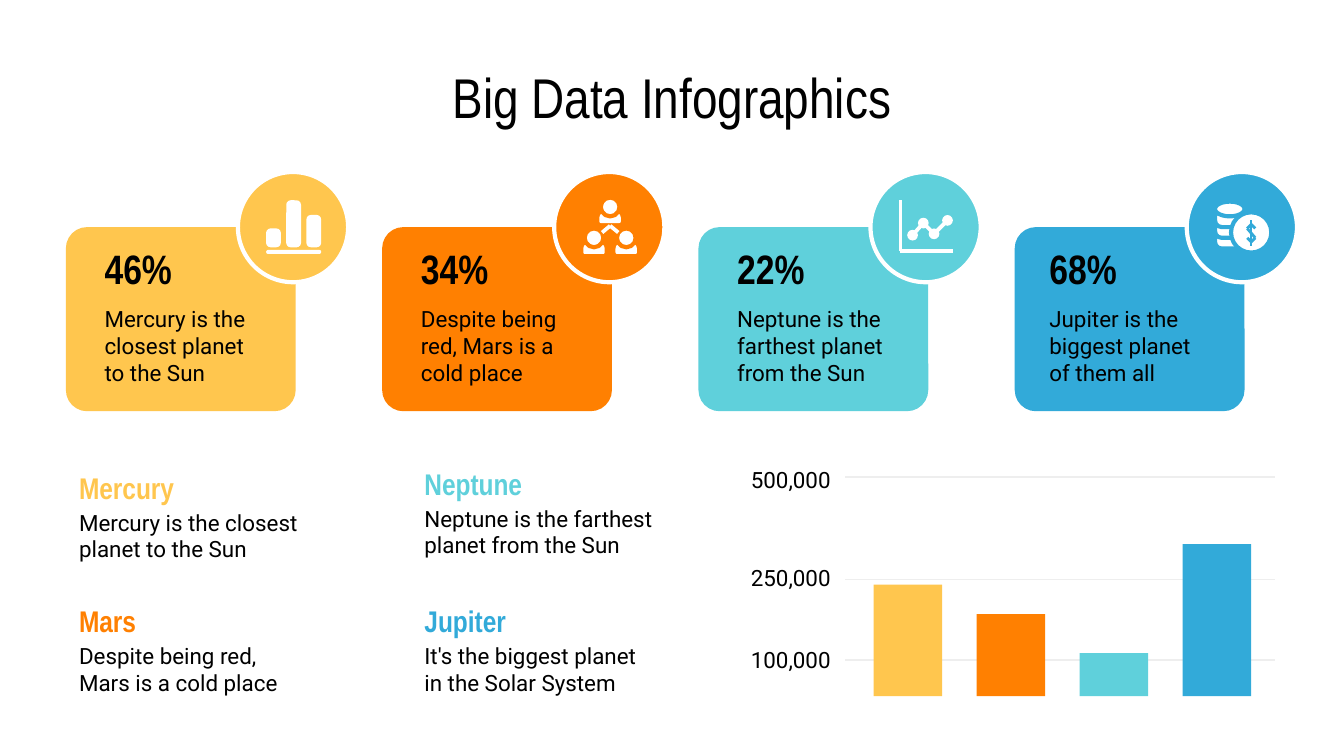
from lxml.etree import SubElement
from pptx import Presentation
from pptx.dml.color import RGBColor
from pptx.enum.shapes import MSO_CONNECTOR, MSO_SHAPE as Preset
from pptx.enum.text import MSO_ANCHOR, MSO_AUTO_SIZE, PP_ALIGN as Align
from pptx.oxml.ns import qn
from pptx.util import Inches, Pt


class Theme:
    yellow, orange, teal, blue = "FFC64E", "FF8001", "5FD0DB", "32AAD9"
    black, white, grid = "000000", "FFFFFF", "EEEEEE"
    heading, body = "Arial Narrow", "Roboto"
    title_size, percent_size, name_size, body_size = 30, 22, 16, 12


def write(frame, text, font=Theme.body, size=Theme.body_size, color=Theme.black,
          bold=False, align=Align.LEFT, inset=0.1):
    frame.word_wrap = True
    frame.auto_size = MSO_AUTO_SIZE.NONE
    frame.vertical_anchor = MSO_ANCHOR.MIDDLE
    frame.margin_left = frame.margin_right = Inches(0.1)
    frame.margin_top = frame.margin_bottom = Inches(inset)
    paragraph = frame.paragraphs[0]
    paragraph.text = text
    paragraph.alignment = align
    for run in paragraph.runs:
        run.font.name, run.font.size, run.font.bold = font, Pt(size), bold
        run.font.color.rgb = RGBColor.from_string(color)


def draw(preset, box, fill=Theme.white, line=None, adjust=()):
    shape = slide.shapes.add_shape(preset, *map(Inches, box))
    shape.shadow.inherit = False
    shape.fill.solid()
    shape.fill.fore_color.rgb = RGBColor.from_string(fill)
    if line:
        shape.line.color.rgb = RGBColor.from_string(line)
        shape.line.width = Pt(2.25)
    else:
        shape.line.fill.background()
    for index, value in enumerate(adjust):
        shape.adjustments[index] = value


# A 16:9 slide, ten inches wide
deck = Presentation()
deck.slide_width = Inches(10)
deck.slide_height = deck.slide_width * 9 // 16
slide = deck.slides.add_slide(deck.slide_layouts[5])

# Title
title = slide.shapes.title
title.left, title.top, title.width, title.height = map(Inches, (0.5, 0.45, 9, 0.53))
write(title.text_frame, "Big Data Infographics", font=Theme.heading,
      size=Theme.title_size, align=Align.CENTER)

# Cards with a percentage, a fact and an icon disc
cards = [
    (Theme.yellow, "46%", "Mercury is the closest planet to the Sun", 0.19),
    (Theme.orange, "34%", "Despite being red, Mars is a cold place", 0.19),
    (Theme.teal, "22%", "Neptune is the farthest planet from the Sun", 0.19),
    (Theme.blue, "68%", "Jupiter is the biggest planet of them all", 0.16),
]
card_pitch = (7.55 - 0.49) / 3
for column, (color, percent, fact, indent) in enumerate(cards):
    left = 0.49 + card_pitch * column
    draw(Preset.ROUNDED_RECTANGLE, (left, 1.69, 1.71, 1.37), color, adjust=[0.115])
    draw(Preset.OVAL, (left + 1.28, 1.28, 0.82, 0.82), color, line=Theme.white)
    percent_box = slide.shapes.add_textbox(
        *map(Inches, (left + indent, 1.84, 0.82, 0.31)))
    write(percent_box.text_frame, percent, font=Theme.heading,
          size=Theme.percent_size, bold=True, inset=0.05)
    fact_box = slide.shapes.add_textbox(
        *map(Inches, (left + indent, 2.16, 1.33, 0.82)))
    write(fact_box.text_frame, fact, inset=0.05)

# Column icon
draw(Preset.ROUNDED_RECTANGLE, (1.98, 1.86, 0.41, 0.03), adjust=[0.5])
for left, top in [(1.98, 1.7), (2.13, 1.49), (2.28, 1.6)]:
    draw(Preset.ROUNDED_RECTANGLE, (left, top, 0.11, 1.84 - top), adjust=[0.3])

# People icon: the outline of each head parts it from the shoulders
for center, top in [(4.54, 1.49), (4.66, 1.72), (4.42, 1.72)]:
    draw(Preset.ROUND_2_SAME_RECTANGLE, (center - 0.08, top + 0.09, 0.16, 0.08),
         adjust=[0.5, 0.15])
    draw(Preset.OVAL, (center - 0.07, top - 0.02, 0.14, 0.14), line=Theme.orange)

# Line chart icon: nodes
nodes = [(6.79, 1.75), (6.87, 1.66), (6.95, 1.74), (7.05, 1.64)]
for x, y in nodes:
    draw(Preset.OVAL, (x - 0.04, y - 0.04, 0.08, 0.08))

# Coins icon: stack from the bottom up, then the front coin
for top in (1.75, 1.67, 1.59):
    draw(Preset.ROUND_2_SAME_RECTANGLE, (9.04, top, 0.22, 0.1),
         line=Theme.blue, adjust=[0, 0.5])
draw(Preset.OVAL, (9.04, 1.5, 0.22, 0.11), line=Theme.blue)
draw(Preset.OVAL, (9.16, 1.58, 0.3, 0.3), line=Theme.blue)

# Strokes: grid lines and the thin parts of the icons
levels = [("100,000", 4.91, 4.78), ("250,000", 4.31, 4.17), ("500,000", 3.55, 3.44)]
dollar = [(9.34, 1.7), (9.31, 1.67), (9.28, 1.7), (9.34, 1.77), (9.31, 1.8), (9.28, 1.77)]
polylines = [([(6.29, y), (9.49, y)], Theme.grid, 0.75) for _, y, _ in levels]
polylines += [
    ([(4.48, 1.73), (4.54, 1.68), (4.6, 1.73)], Theme.white, 2),
    ([(6.7, 1.49), (6.7, 1.87), (7.09, 1.87)], Theme.white, 2),
    (nodes, Theme.white, 2),
    (dollar, Theme.blue, 1.5),
    ([(9.31, 1.64), (9.31, 1.83)], Theme.blue, 1),
]
for points, color, width in polylines:
    for start, end in zip(points, points[1:]):
        stroke = slide.shapes.add_connector(
            MSO_CONNECTOR.STRAIGHT, *map(Inches, start + end))
        stroke.line.color.rgb = RGBColor.from_string(color)
        stroke.line.width = Pt(width)
        SubElement(stroke.element.spPr, qn("a:effectLst"))

# Bars stand on an uneven scale, so they are placed as shapes
bar_pitch = (8.8 - 6.5) / 3
for column, (card, top) in enumerate(zip(cards, (4.35, 4.57, 4.86, 4.05))):
    draw(Preset.RECTANGLE, (6.5 + bar_pitch * column, top, 0.51, 5.18 - top), card[0])
for amount, _, top in levels:
    level_box = slide.shapes.add_textbox(*map(Inches, (5.36, top, 0.92, 0.25)))
    write(level_box.text_frame, amount, align=Align.RIGHT)

# Planet notes
planets = [
    ("Mercury", "Mercury is the closest planet to the Sun", Theme.yellow, 0.49, 3.47),
    ("Mars", "Despite being red,\vMars is a cold place", Theme.orange, 0.49, 4.46),
    ("Neptune", "Neptune is the farthest planet from the Sun", Theme.teal, 3.06, 3.44),
    ("Jupiter", "It's the biggest planet in the Solar System", Theme.blue, 3.06, 4.46),
]
for planet, note, color, left, top in planets:
    planet_box = slide.shapes.add_textbox(*map(Inches, (left, top, 1.05, 0.31)))
    write(planet_box.text_frame, planet, font=Theme.heading, size=Theme.name_size,
          color=color, bold=True)
    note_box = slide.shapes.add_textbox(*map(Inches, (left, top + 0.31, 1.93, 0.41)))
    write(note_box.text_frame, note)

deck.save("out.pptx")
